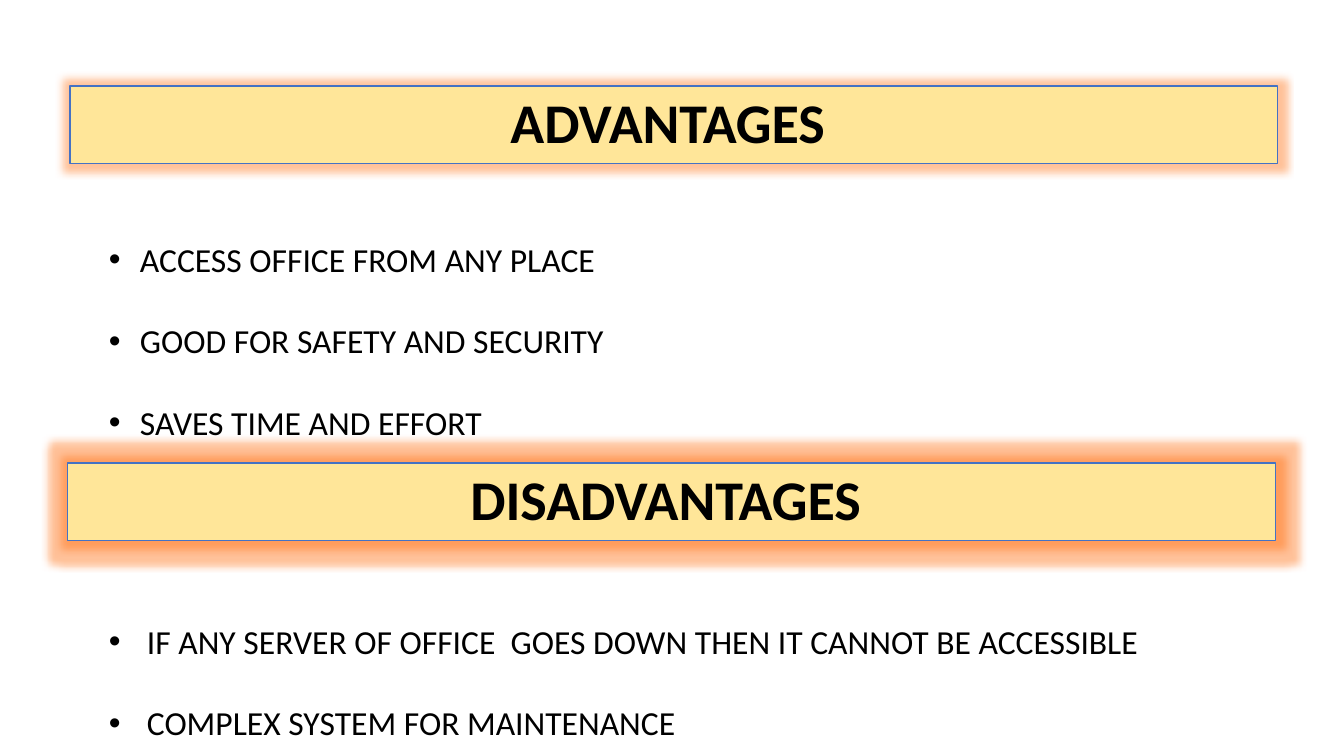
from lxml import etree
from pptx import Presentation
from pptx import util as u
from pptx.dml.color import RGBColor
from pptx.enum import shapes, text
from pptx.oxml.ns import qn

SLIDE_WIDTH, SLIDE_HEIGHT = 1344, 756
TITLE_ONLY = 5


def px(count):
    return u.Emu(round(count * 12192000 / SLIDE_WIDTH))


def colour(hex_code):
    return RGBColor.from_string(hex_code)


class Page:
    font = "Calibri"
    ink = "000000"
    banner_fill = "FFE699"
    banner_line = "4472C4"
    glow = "FF6600"

    def __init__(self, deck):
        self.slide = deck.slides.add_slide(deck.slide_layouts[TITLE_ONLY])

    def style(self, para, size, bold=False):
        for span in para.runs:
            span.font.name = self.font
            span.font.size = u.Pt(size)
            span.font.bold = bold
            span.font.color.rgb = colour(self.ink)

    def add_glow(self, box):
        box.shadow.inherit = False
        effects = box._element.spPr.find(qn("a:effectLst"))
        glow = etree.SubElement(effects, qn("a:glow"), rad=str(u.Pt(11)))
        tint = etree.SubElement(glow, qn("a:srgbClr"), val=self.glow)
        etree.SubElement(tint, qn("a:alpha"), val="40000")

    def banner(self, box, wording):
        """Turn a shape or placeholder into a glowing heading bar."""
        box.fill.solid()
        box.fill.fore_color.rgb = colour(self.banner_fill)
        box.line.color.rgb = colour(self.banner_line)
        box.line.width = u.Pt(0.75)
        self.add_glow(box)
        frame = box.text_frame
        frame.text = wording
        frame.word_wrap = True
        frame.auto_size = text.MSO_AUTO_SIZE.NONE
        frame.vertical_anchor = text.MSO_ANCHOR.MIDDLE
        para = frame.paragraphs[0]
        para.alignment = text.PP_ALIGN.CENTER
        para.line_spacing = 0.9
        self.style(para, 40, bold=True)

    def title(self, left, top, width, height, wording):
        box = self.slide.shapes.title
        box.left, box.top = px(left), px(top)
        box.width, box.height = px(width), px(height)
        self.banner(box, wording)

    def heading(self, left, top, width, height, wording):
        box = self.slide.shapes.add_shape(
            shapes.MSO_SHAPE.RECTANGLE, px(left), px(top), px(width), px(height))
        self.banner(box, wording)

    def bullets(self, left, top, width, height, indent, items):
        box = self.slide.shapes.add_textbox(
            px(left), px(top), px(width), px(height))
        frame = box.text_frame
        frame.text = "\n".join(items)
        frame.word_wrap = True
        for index, para in enumerate(frame.paragraphs):
            # One blank line's height between items
            para.space_before = u.Pt(29.3 if index else 0)
            self.style(para, 24)
            props = para._p.get_or_add_pPr()
            props.set("marL", str(px(indent)))
            props.set("indent", str(-px(indent)))
            etree.SubElement(props, qn("a:buFont"), typeface="Arial")
            etree.SubElement(props, qn("a:buChar"), char="•")


def main():
    deck = Presentation()
    deck.slide_width, deck.slide_height = px(SLIDE_WIDTH), px(SLIDE_HEIGHT)
    page = Page(deck)

    # Heading bars
    page.title(70, 86, 1208, 78, "ADVANTAGES ")
    page.heading(68, 463, 1208, 78, "DISADVANTAGES ")

    # Bullet lists
    page.bullets(99, 234, 1176, 295, 31, [
        "ACCESS OFFICE FROM ANY PLACE",
        "GOOD FOR SAFETY AND SECURITY",
        "SAVES TIME AND EFFORT",
    ])
    page.bullets(99, 616, 1153, 132, 38, [
        "IF ANY SERVER OF OFFICE  GOES DOWN THEN IT CANNOT BE ACCESSIBLE",
        "COMPLEX SYSTEM FOR MAINTENANCE",
    ])

    deck.save("out.pptx")


if __name__ == "__main__":
    main()
